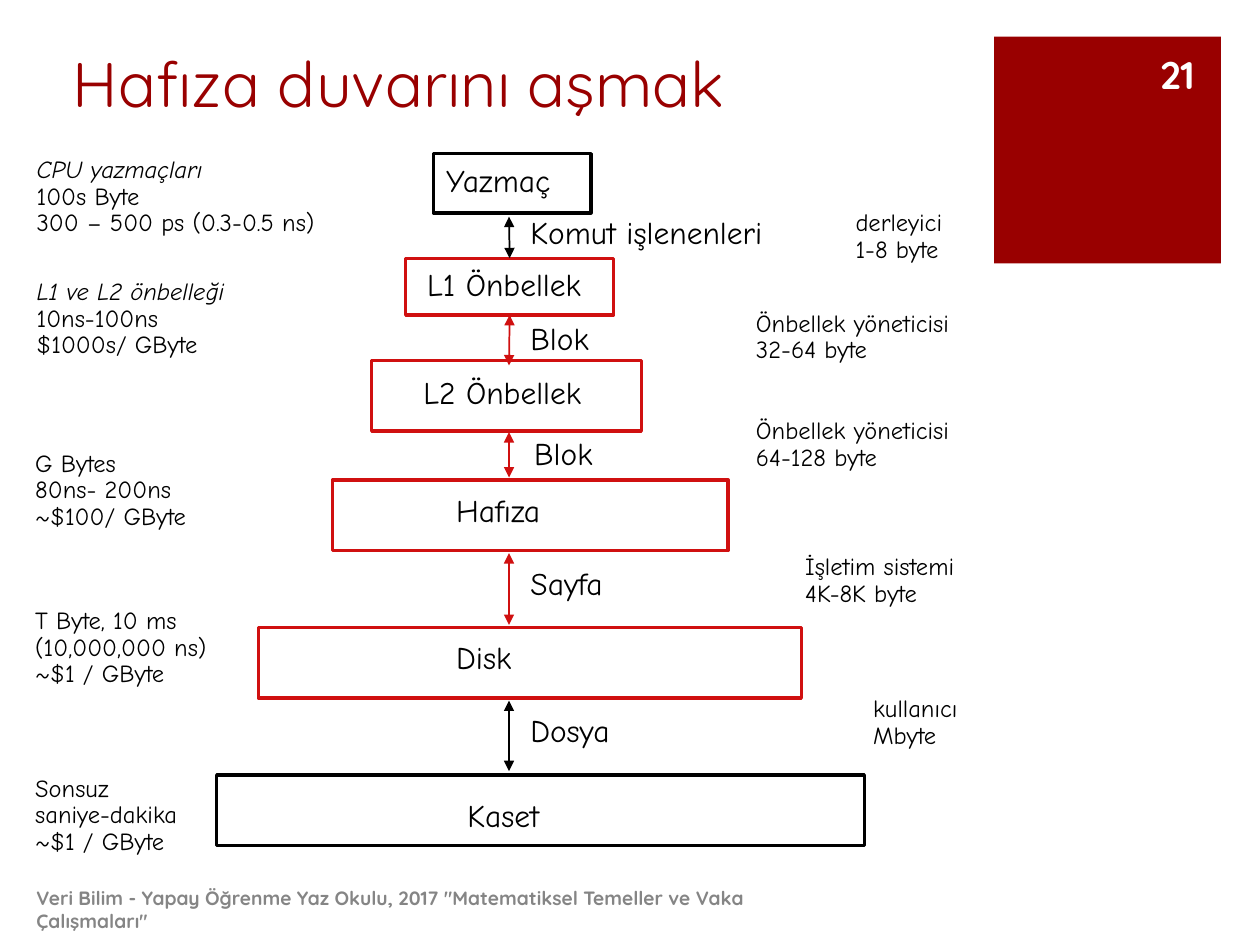
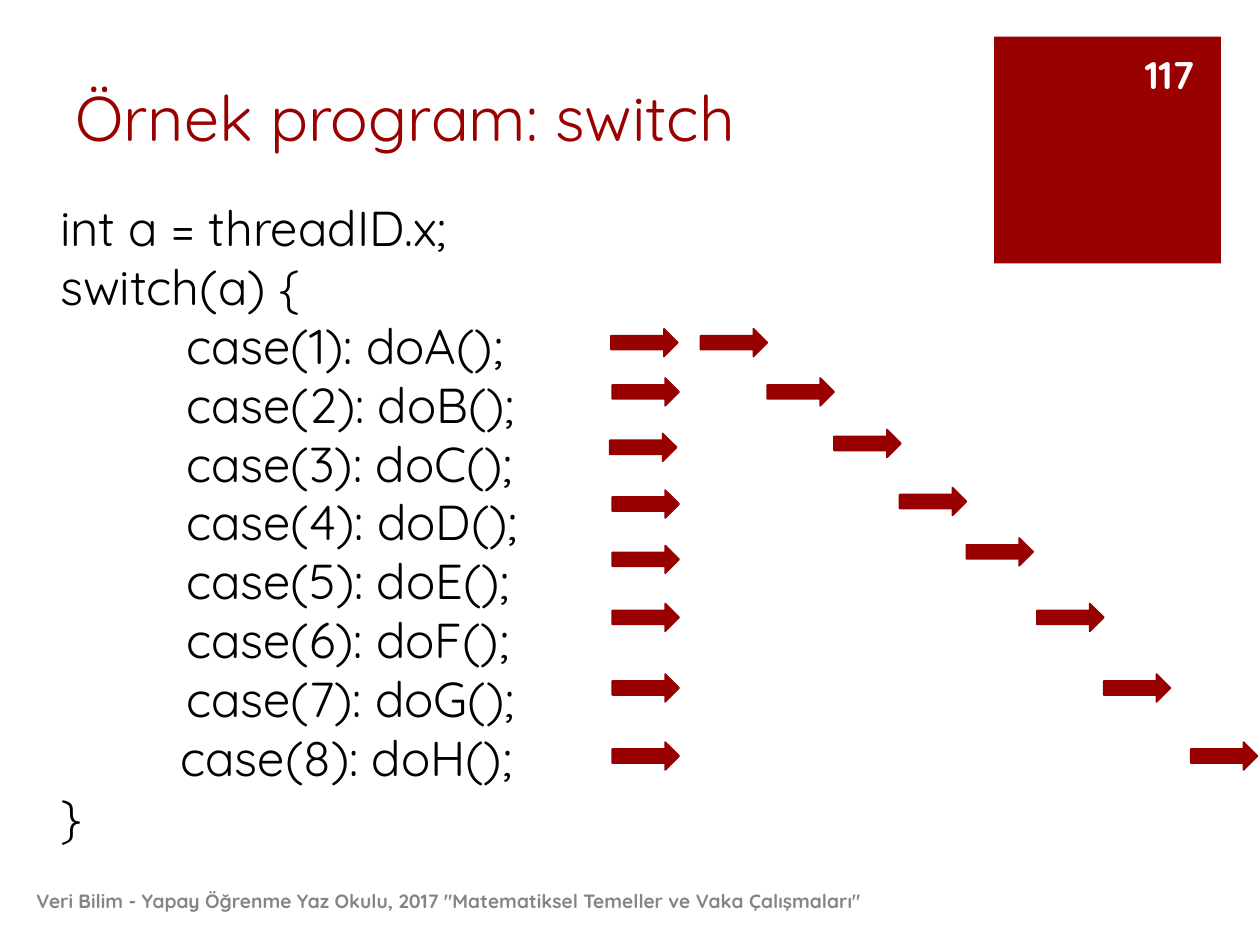
"""Build two lecture slides: the memory hierarchy and a switch example."""
from dataclasses import dataclass

from lxml.etree import SubElement
from pptx import Presentation
from pptx.dml.color import RGBColor
from pptx.enum.shapes import MSO_CONNECTOR, MSO_SHAPE
from pptx.enum.text import MSO_ANCHOR, MSO_AUTO_SIZE, PP_ALIGN
from pptx.oxml.ns import qn
from pptx.util import Inches, Pt


@dataclass(frozen=True)
class Theme:
    """Colours, fonts and type sizes shared by the slides."""
    accent: str = "990000"
    accent_dark: str = "830000"
    arrow_line: str = "960000"
    highlight: str = "D01010"
    ink: str = "000000"
    paper: str = "FFFFFF"
    muted: str = "858585"
    main_font: str = "Quicksand"
    diagram_font: str = "Comic Neue"
    title_size: int = 36
    code_size: int = 28
    number_size: int = 22
    label_size: int = 18
    note_size: int = 14
    footer_size: int = 11


THEME = Theme()
FOOTER = 'Veri Bilim - Yapay Öğrenme Yaz Okulu, 2017 "Matematiksel Temeller ve Vaka Çalışmaları"'

LEVELS = [
    ("Yazmaç", THEME.ink, (3.44, 1.22, 1.25, 0.47), (3.47, 1.29, 1.02)),
    ("L1 Önbellek", THEME.highlight, (3.22, 2.05, 1.65, 0.45), (3.32, 2.12, 1.5)),
    ("L2 Önbellek", THEME.highlight, (2.95, 2.86, 2.14, 0.56), (3.29, 2.98, 1.54)),
    ("Hafıza", THEME.highlight, (2.64, 3.81, 3.14, 0.56), (3.55, 3.91, 0.93)),
    ("Disk", THEME.highlight, (2.05, 4.98, 4.31, 0.56), (3.55, 5.08, 0.65)),
    ("Kaset", THEME.ink, (1.72, 6.15, 5.14, 0.56), (3.64, 6.33, 0.8)),
]
TRANSFER_X = 4.04
TRANSFERS = [
    ("Komut işlenenleri", THEME.ink, 1.72, 2.05, (4.14, 1.71, 2.15)),
    ("Blok", THEME.highlight, 2.51, 2.9, (4.14, 2.55, 0.64)),
    ("Blok", THEME.highlight, 3.43, 3.79, (4.17, 3.46, 0.64)),
    ("Sayfa", THEME.highlight, 4.39, 4.96, (4.14, 4.49, 0.83)),
    ("Dosya", THEME.ink, 5.56, 6.12, (4.14, 5.66, 0.84)),
]
NOTES = [
    (["CPU yazmaçları", "100s Byte", "300 – 500 ps (0.3-0.5 ns)"], (0.22, 1.22, 2.45), True),
    (["L1 ve L2 önbelleği", "10ns-100ns", "$1000s/ GByte"], (0.22, 2.19, 1.81), True),
    (["G Bytes", "80ns- 200ns", "~$100/ GByte"], (0.21, 3.55, 1.44), False),
    (["T Byte, 10 ms", "(10,000,000 ns)", "~$1 / GByte"], (0.21, 4.8, 1.84), False),
    (["Sonsuz", "saniye-dakika", "~$1 / GByte"], (0.21, 6.13, 1.37), False),
    (["derleyici", "1-8 byte"], (6.72, 1.64, 0.93), False),
    (["Önbellek yöneticisi", "32-64 byte"], (5.93, 2.44, 1.87), False),
    (["Önbellek yöneticisi", "64-128 byte"], (5.93, 3.29, 1.87), False),
    (["İşletim sistemi", "4K-8K byte"], (6.32, 4.37, 1.52), False),
    (["kullanıcı", "Mbyte"], (6.86, 5.5, 0.87), False),
]

CODE = [
    "int a = threadID.x;",
    "switch(a) {",
    *(f"\tcase({number}): do{letter}();" for number, letter in enumerate("ABCDEFG", 1)),
    "         case(8): doH();",
    "}",
]
ARROW_SIZE = (0.53, 0.22)
START_ARROWS = [(4.85, 2.61), (4.86, 3), (4.84, 3.44), (4.86, 3.89),
                (4.86, 4.33), (4.86, 4.79), (4.86, 5.35), (4.86, 5.89)]
STEP_ARROWS = [(5.56, 2.61), (6.09, 3), (6.62, 3.41), (7.14, 3.87),
               (7.67, 4.27), (8.23, 4.79), (8.76, 5.35), (9.45, 5.89)]


def inches(values):
    return [Inches(value) for value in values]


def color(value):
    return RGBColor.from_string(value)


def add_text(page, lines, place, *, size, font=THEME.main_font, ink=THEME.ink, bold=False,
             italic_first=False, align=PP_ALIGN.LEFT, anchor=MSO_ANCHOR.TOP,
             spacing=None, tab=None, wrap=True, grow=False, insets=(0.1, 0.05)):
    box = page.shapes.add_textbox(*inches(place))
    frame = box.text_frame
    frame.word_wrap = wrap
    frame.auto_size = MSO_AUTO_SIZE.SHAPE_TO_FIT_TEXT if grow else MSO_AUTO_SIZE.NONE
    frame.vertical_anchor = anchor
    frame.margin_left = frame.margin_right = Inches(insets[0])
    frame.margin_top = frame.margin_bottom = Inches(insets[1])
    for index, line in enumerate(lines):
        para = frame.add_paragraph() if index else frame.paragraphs[0]
        para.alignment = align
        if spacing:
            para.line_spacing = spacing
        if tab:
            tabs = SubElement(para._p.get_or_add_pPr(), qn("a:tabLst"))
            SubElement(tabs, qn("a:tab"), pos=str(Inches(tab)), algn="l")
        span = para.add_run()
        span.text = line
        span.font.name = font
        span.font.size = Pt(size)
        span.font.bold = bold
        span.font.italic = italic_first and index == 0
        span.font.color.rgb = color(ink)


def add_diagram_text(page, lines, place, *, size, spacing, italic_first=False):
    height = 0.06 + len(lines) * size * spacing * 1.15 / 72
    add_text(page, lines, (*place, height), size=size, spacing=spacing,
             italic_first=italic_first, font=THEME.diagram_font,
             wrap=False, grow=True, insets=(0.07, 0.03))


def add_page(deck, title, number, title_place, footer_place):
    page = deck.slides.add_slide(deck.slide_layouts[6])
    square = page.shapes.add_shape(MSO_SHAPE.RECTANGLE, *inches((7.89, 0.29, 1.8, 1.8)))
    square.shadow.inherit = False
    square.fill.solid()
    square.fill.fore_color.rgb = color(THEME.accent)
    square.line.fill.background()
    add_text(page, [title], title_place, size=THEME.title_size, ink=THEME.accent,
             anchor=MSO_ANCHOR.BOTTOM)
    add_text(page, [FOOTER], footer_place, size=THEME.footer_size, ink=THEME.muted,
             bold=True, anchor=MSO_ANCHOR.MIDDLE)
    add_text(page, [number], (8.61, 0.39, 0.97, 0.4), size=THEME.number_size,
             ink=THEME.paper, bold=True, align=PP_ALIGN.RIGHT, anchor=MSO_ANCHOR.MIDDLE)
    return page


def add_level(page, name, ink, place, label_place):
    box = page.shapes.add_shape(MSO_SHAPE.RECTANGLE, *inches(place))
    box.shadow.inherit = False
    box.fill.background()
    box.line.color.rgb = color(ink)
    box.line.width = Pt(2)
    add_diagram_text(page, [name], label_place, size=THEME.label_size, spacing=0.85)
    return box


def meets_middle(box, side, end):
    tolerance = Inches(0.015)
    middle = box.left + box.width / 2
    return (abs(middle - Inches(TRANSFER_X)) < tolerance
            and abs(side - Inches(end)) < tolerance)


def add_transfer(page, name, ink, top, bottom, label_place, upper, lower):
    link = page.shapes.add_connector(
        MSO_CONNECTOR.STRAIGHT, *inches((TRANSFER_X, top, TRANSFER_X, bottom)))
    if meets_middle(upper, upper.top + upper.height, top):
        link.begin_connect(upper, 2)
    if meets_middle(lower, lower.top, bottom):
        link.end_connect(lower, 0)
    link.line.color.rgb = color(ink)
    link.line.width = Pt(1)
    outline = link.line._get_or_add_ln()
    for end in ("a:headEnd", "a:tailEnd"):
        SubElement(outline, qn(end), type="triangle")
    SubElement(link._element.spPr, qn("a:effectLst"))
    add_diagram_text(page, [name], label_place, size=THEME.label_size, spacing=0.85)


def add_thread_arrow(page, position):
    arrow = page.shapes.add_shape(MSO_SHAPE.RIGHT_ARROW, *inches(position + ARROW_SIZE))
    arrow.shadow.inherit = False
    arrow.fill.gradient()
    arrow.fill.gradient_angle = 90
    stops = [(0, THEME.accent_dark), (0.35, THEME.accent)]
    for stop, (share, shade) in zip(arrow.fill.gradient_stops, stops):
        stop.position = share
        stop.color.rgb = color(shade)
    arrow.line.color.rgb = color(THEME.arrow_line)
    arrow.line.width = Pt(1)


def build_memory_page(deck):
    page = add_page(deck, "Hafıza duvarını aşmak", "21",
                    (0.48, 0.2, 7.12, 0.8), (0.19, 7.02, 6.57, 0.4))
    boxes = [add_level(page, *level) for level in LEVELS]
    for transfer, upper, lower in zip(TRANSFERS, boxes, boxes[1:]):
        add_transfer(page, *transfer, upper, lower)
    for lines, place, italic_first in NOTES:
        add_diagram_text(page, lines, place, size=THEME.note_size, spacing=0.9,
                         italic_first=italic_first)


def build_switch_page(deck):
    page = add_page(deck, "Örnek program: switch", "117",
                    (0.5, 0.02, 7.12, 1.25), (0.19, 6.95, 7.19, 0.4))
    add_text(page, CODE, (0.38, 1.52, 5, 5.28), size=THEME.code_size, tab=1, grow=True)
    for position in START_ARROWS + STEP_ARROWS:
        add_thread_arrow(page, position)


def main():
    deck = Presentation()
    deck.slide_width, deck.slide_height = inches((10, 7.5))
    build_memory_page(deck)
    build_switch_page(deck)
    deck.save("out.pptx")


if __name__ == "__main__":
    main()
